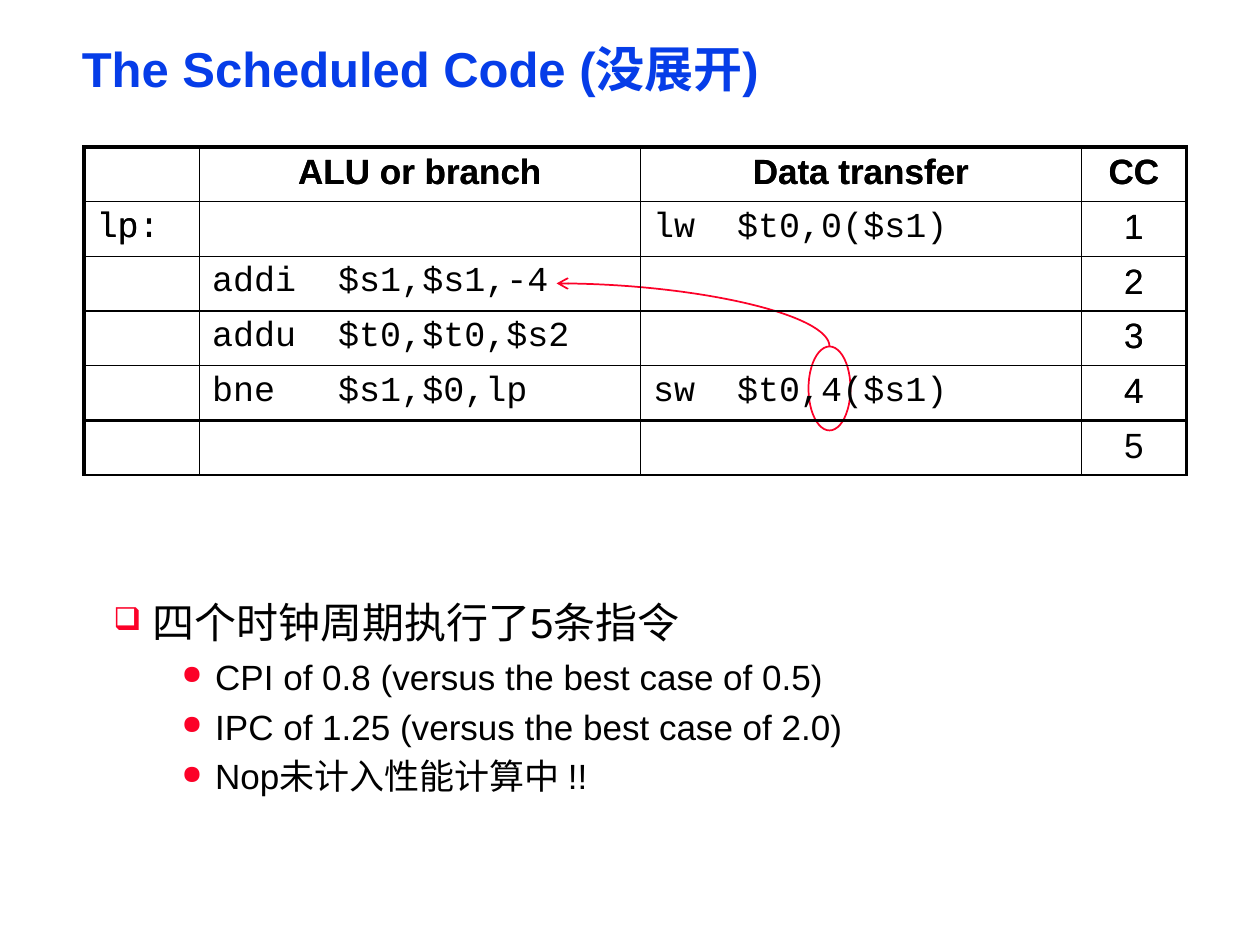
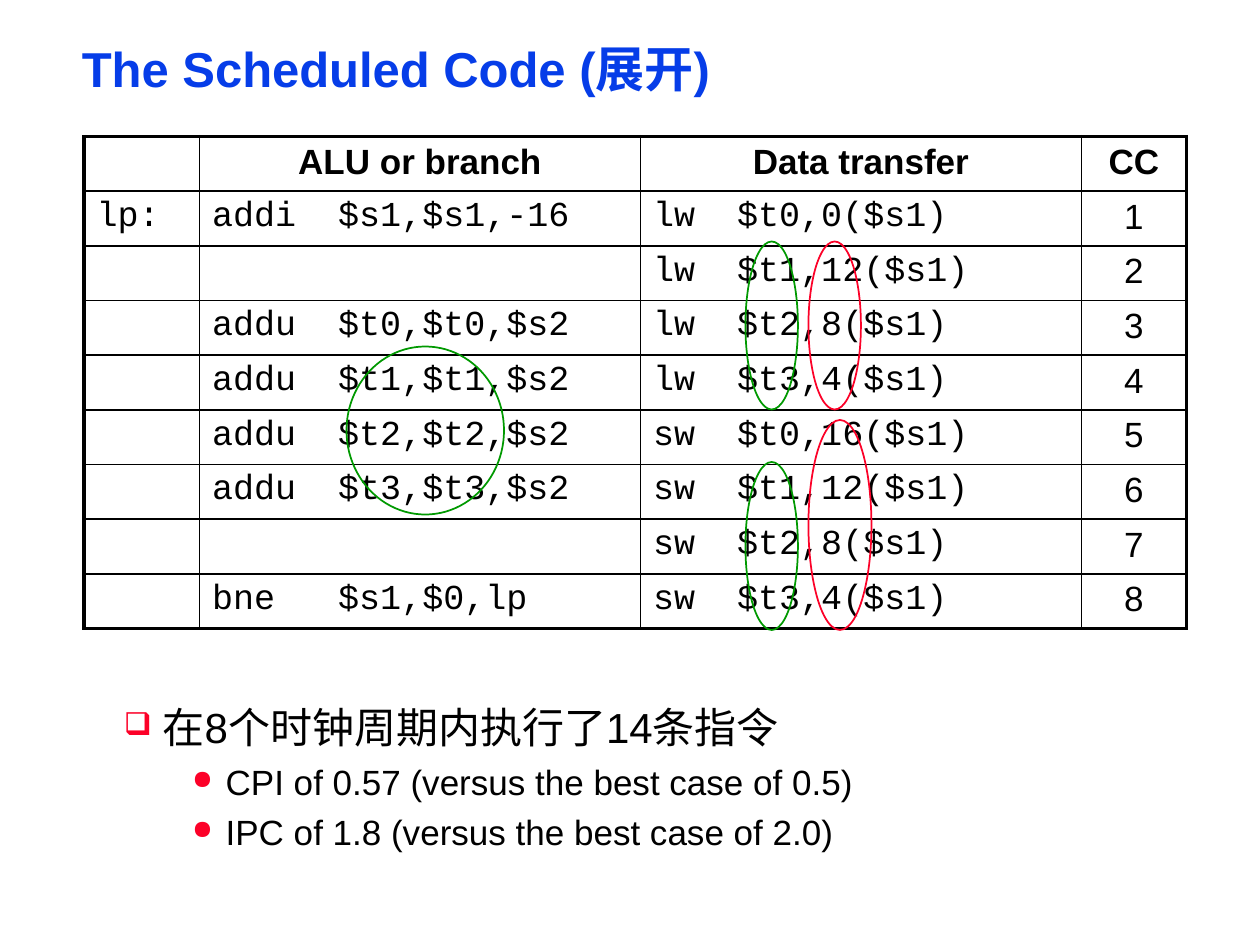
from lxml import etree
from pptx import Presentation
from pptx.dml.color import RGBColor
from pptx.enum import shapes, text
from pptx.oxml.ns import qn
from pptx.util import Emu, Pt

PX = 7620  # 120 px to the inch
BLUE, RED, GREEN, BLACK = "063DE8", "FC0128", "009900", "000000"
SANS, MONO = "Arial", "Courier New"
COLUMNS = [110, 420, 420, 100]
HEADINGS = ["", "ALU or branch", "Data transfer", "CC"]
THICK, THIN = 2.25, 1
# Per bullet level: left margin, hanging indent, line spacing, space before in %, size, mark
LEVELS = [(37, 37, 0.9, 65, 24, "❑"), (97, 32, 0.85, 40, 20, "●")]


def px(length):
    return Emu(round(length * PX))


def color(value):
    return RGBColor.from_string(value)


def add_xml(parent, tag, **attributes):
    return etree.SubElement(parent, qn(tag), attributes)


def add_span(para, words, size, font=SANS, ink=BLACK, bold=False):
    span = para.add_run()
    span.text = words
    span.font.size = Pt(size)
    span.font.name = font
    span.font.bold = bold
    span.font.color.rgb = color(ink)


def set_space_before(para, percent):
    space = add_xml(para._p.get_or_add_pPr(), "a:spcBef")
    add_xml(space, "a:spcPct", val=str(percent * 1000))


def add_box(page, left, top, width, height):
    box = page.shapes.add_textbox(px(left), px(top), px(width), px(height))
    frame = box.text_frame
    frame.word_wrap = True
    frame.margin_left = frame.margin_right = px(8)
    frame.margin_top = frame.margin_bottom = px(4)
    return frame


def add_page(deck, title):
    page = deck.slides.add_slide(deck.slide_layouts[6])
    para = add_box(page, 70, 40, 1070, 55).paragraphs[0]
    para.line_spacing = 0.87
    add_span(para, title, 28, ink=BLUE, bold=True)
    return page


# Bulleted notes: the first line is the heading, the rest are its points
def add_notes(page, left, top, height, lines):
    frame = add_box(page, left, top, 1010, height)
    for index, words in enumerate(lines):
        level = min(index, 1)
        margin, hang, spacing, before, size, mark = LEVELS[level]
        para = frame.paragraphs[0] if index == 0 else frame.add_paragraph()
        para.level = level
        para.line_spacing = spacing
        set_space_before(para, before)
        props = para._p.get_or_add_pPr()
        props.set("marL", str(px(margin)))
        props.set("indent", str(px(-hang)))
        add_xml(add_xml(props, "a:buClr"), "a:srgbClr", val=RED)
        add_xml(props, "a:buSzPct", val="75000")
        add_xml(props, "a:buChar", char=mark)
        add_span(para, words, size)


# Schedule tables
def set_borders(cell, left, right, top, bottom):
    props = cell._tc.get_or_add_tcPr()
    sides = {"a:lnL": left, "a:lnR": right, "a:lnT": top, "a:lnB": bottom}
    for tag, width in sides.items():
        line = add_xml(props, tag, w=str(Pt(width)))
        add_xml(add_xml(line, "a:solidFill"), "a:srgbClr", val=BLACK)


def fill_cell(cell, words, centered, font, bold):
    cell.fill.background()
    para = cell.text_frame.paragraphs[0]
    if centered:
        para.alignment = text.PP_ALIGN.CENTER
    set_space_before(para, 30)
    if words:
        add_span(para, words, 20, font, bold=bold)
    else:
        para.font.size = Pt(20)


def add_schedule(page, top, heights, cycles, bottom=THICK):
    """Each cycle is a pair: ALU or branch code, data transfer code."""
    rows = [HEADINGS]
    for number, (alu, transfer) in enumerate(cycles, 1):
        rows.append(["lp:" if number == 1 else "", alu, transfer, str(number)])
    table = page.shapes.add_table(len(rows), len(COLUMNS), px(80), px(top),
                                  px(sum(COLUMNS)), px(sum(heights))).table
    table.first_row = table.horz_banding = False
    for column, width in zip(table.columns, COLUMNS):
        column.width = px(width)
    last_row, last_column = len(rows) - 1, len(COLUMNS) - 1
    for r, row in enumerate(rows):
        table.rows[r].height = px(heights[r])
        for c, words in enumerate(row):
            cell = table.cell(r, c)
            set_borders(cell, THICK if c == 0 else THIN,
                        THICK if c == last_column else THIN,
                        THICK if r == 0 else THIN,
                        bottom if r == last_row else THIN)
            plain = r == 0 or c == last_column
            fill_cell(cell, words, plain, SANS if plain else MONO, r == 0)


# Marks on the code
def add_ring(page, left, top, width, height, ink):
    ring = page.shapes.add_shape(shapes.MSO_SHAPE.OVAL, px(left), px(top),
                                 px(width), px(height))
    ring.shadow.inherit = False
    ring.fill.background()
    ring.line.color.rgb = color(ink)
    ring.line.width = Pt(1)


def add_curved_arrow(page, start, end, ink):
    """Quarter curve that leaves upwards and arrives leftwards."""
    middle_x, middle_y = (start[0] + end[0]) / 2, (start[1] + end[1]) / 2
    half_width, half_height = (start[1] - end[1]) / 2, (start[0] - end[0]) / 2
    arrow = page.shapes.add_connector(
        shapes.MSO_CONNECTOR.CURVE,
        px(middle_x - half_width), px(middle_y + half_height),
        px(middle_x + half_width), px(middle_y - half_height))
    arrow.line.color.rgb = color(ink)
    arrow.line.width = Pt(1)
    props = arrow._element.spPr
    props.find(qn("a:xfrm")).set("rot", str(270 * 60000))
    props.find(qn("a:prstGeom")).set("prst", "curvedConnector2")
    add_xml(props.find(qn("a:ln")), "a:tailEnd", type="arrow")
    add_xml(props, "a:effectLst")


def build_rolled(deck):
    page = add_page(deck, "The Scheduled Code (没展开)")
    add_notes(page, 100, 570, 202, [
        "四个时钟周期执行了5条指令",
        "CPI of 0.8 (versus the best case of 0.5)",
        "IPC of 1.25 (versus the best case of 2.0)",
        "Nop未计入性能计算中 !!"])
    add_ring(page, 770, 330, 40, 80, RED)
    add_curved_arrow(page, (790, 330), (530, 270), RED)
    cycles = [("", "lw  $t0,0($s1)"),
              ("addi  $s1,$s1,-4", ""),
              ("addu  $t0,$t0,$s2", ""),
              ("bne   $s1,$0,lp", "sw  $t0,4($s1)")]
    add_schedule(page, 140, [50] * 5, cycles)
    # Empty five-cycle grid over the schedule
    add_schedule(page, 140, [50] * 6, [("", "")] * 5, bottom=THIN)


def build_unrolled(deck):
    page = add_page(deck, "The Scheduled Code (展开)")
    add_notes(page, 110, 670, 151, [
        "在8个时钟周期内执行了14条指令",
        "CPI of 0.57 (versus the best case of 0.5)",
        "IPC of 1.8 (versus the best case of 2.0)"])
    cycles = [("addi  $s1,$s1,-16", "lw  $t0,0($s1)"),
              ("", "lw  $t1,12($s1)"),
              ("addu  $t0,$t0,$s2", "lw  $t2,8($s1)"),
              ("addu  $t1,$t1,$s2", "lw  $t3,4($s1)"),
              ("addu  $t2,$t2,$s2", "sw  $t0,16($s1)"),
              ("addu  $t3,$t3,$s2", "sw  $t1,12($s1)"),
              ("", "sw  $t2,8($s1)"),
              ("bne   $s1,$0,lp", "sw  $t3,4($s1)")]
    add_schedule(page, 130, [50] * 4 + [52] * 4 + [50], cycles)
    add_ring(page, 770, 230, 50, 160, RED)
    for top in (230, 440):
        add_ring(page, 710, top, 50, 160, GREEN)
    add_ring(page, 770, 400, 60, 200, RED)
    add_ring(page, 330, 330, 150, 160, GREEN)


def main():
    deck = Presentation()
    deck.slide_width, deck.slide_height = px(1200), px(900)
    build_rolled(deck)
    build_unrolled(deck)
    deck.save("out.pptx")


if __name__ == "__main__":
    main()
